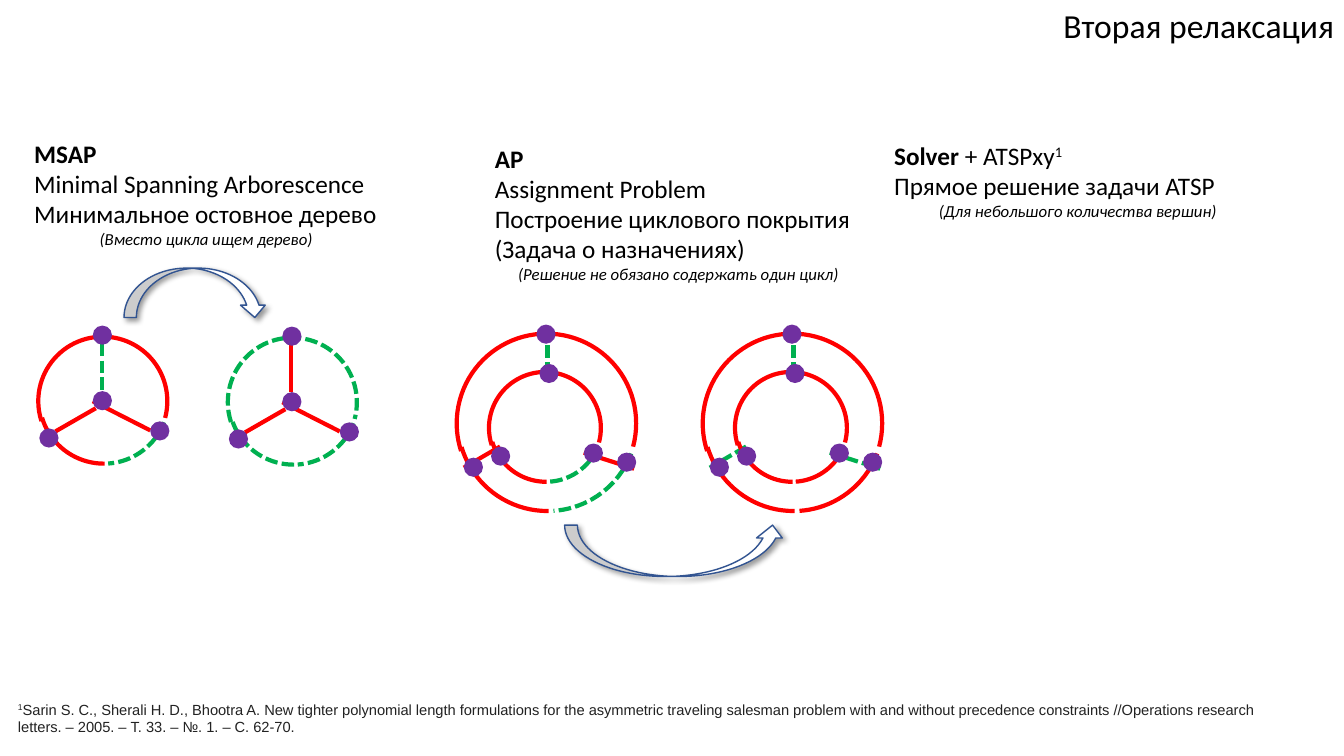
from dataclasses import dataclass
from typing import NamedTuple

from lxml.etree import SubElement
from pptx import Presentation
from pptx.dml.color import RGBColor
from pptx.enum.dml import MSO_LINE
from pptx.enum.shapes import MSO_CONNECTOR, MSO_SHAPE
from pptx.enum.text import MSO_AUTO_SIZE, PP_ALIGN
from pptx.oxml.ns import qn
from pptx.util import Inches, Pt


@dataclass(frozen=True)
class Theme:
    body: str = "Calibri"
    cite: str = "Arial"
    black: str = "000000"
    gray: str = "222222"
    white: str = "FFFFFF"
    red: str = "FF0000"
    green: str = "00B050"
    node: str = "7030A0"
    rim: str = "325491"
    title: float = 24
    text: float = 18
    note: float = 12
    foot: float = 10.5
    edge: float = 3
    thin: float = 1


THEME = Theme()


class Run(NamedTuple):
    text: str
    size: float = THEME.text
    bold: bool = False
    slant: bool = False
    raised: bool = False
    font: str = THEME.body
    color: str = THEME.black


class Line(NamedTuple):
    runs: list[Run]
    align: PP_ALIGN = PP_ALIGN.LEFT


class Box(NamedTuple):
    left: float
    top: float
    width: float
    height: float
    lines: list[Line]
    wrap: bool = True


class Ring(NamedTuple):
    left: float
    top: float
    size: float
    nodes: list[tuple[float, float]]


class Graph(NamedTuple):
    spokes: list[tuple[float, float, float, float]]
    rings: list[Ring]


class Figure(NamedTuple):
    graph: Graph
    right: float
    down: float
    spokes: str  # R = solid red, G = dashed green
    arcs: str


class Arrow(NamedTuple):
    left: float
    top: float
    width: float
    height: float
    flip: bool = False


def plain(text: str) -> Line:
    return Line([Run(text)])


def head(text: str) -> Line:
    return Line([Run(text, bold=True)])


def note(text: str) -> Line:
    return Line([Run(text, THEME.note, slant=True)], PP_ALIGN.CENTER)


# Text blocks
BOXES = [
    Box(10.42, 0, 2.91, 0.5,
        [Line([Run("Вторая релаксация", THEME.title)], PP_ALIGN.RIGHT)], False),
    Box(0.24, 1.32, 3.61, 1.21, [
        head("MSAP"),
        plain("Minimal Spanning Arborescence"),
        plain("Минимальное остовное дерево"),
        note("(Вместо цикла ищем дерево)")]),
    Box(4.81, 1.37, 3.84, 1.51, [
        head("AP"),
        plain("Assignment Problem"),
        plain("Построение циклового покрытия"),
        plain("(Задача о назначениях)"),
        note("(Решение не обязано содержать один цикл)")]),
    Box(8.77, 1.34, 3.84, 0.91, [
        Line([Run("Solver", bold=True), Run(" + ATSPxy"), Run("1", raised=True)]),
        plain("Прямое решение задачи ATSP"),
        note("(Для небольшого количества вершин)")]),
    Box(0.08, 6.9, 12.86, 0.45, [Line([
        Run("1", THEME.foot, raised=True, font=THEME.cite, color=THEME.gray),
        Run("Sarin S. C., Sherali H. D., Bhootra A. New tighter polynomial length "
            "formulations for the asymmetric traveling salesman problem with and "
            "without precedence constraints //Operations research letters. – 2005. "
            "– Т. 33. – №. 1. – С. 62-70.",
            THEME.foot, font=THEME.cite, color=THEME.gray)])]),
]

# Graph layouts and their colourings
TREE = Graph(
    [(0.95, 4.05, 0.55, 4.28), (0.92, 3.98, 1.49, 4.27), (1.01, 3.41, 1.01, 3.88)],
    [Ring(0.38, 3.32, 1.28, [(0.92, 3.23), (0.39, 4.25), (0.92, 3.88), (1.49, 4.18)])])
CYCLE = Graph(
    [(5.79, 4.49, 6.29, 4.65), (5.43, 3.26, 5.43, 3.73), (4.96, 4.43, 4.6, 4.64)],
    [Ring(4.53, 3.29, 1.78, [(4.6, 4.54), (5.32, 3.22), (6.12, 4.49)]),
     Ring(4.85, 3.67, 1.11, [(4.87, 4.43), (5.35, 3.61), (5.79, 4.4)])])
FIGURES = [
    Figure(TREE, 0, 0, "RRG", "RGR"),
    Figure(TREE, 1.88, 0.01, "RRR", "GGG"),
    Figure(CYCLE, 0, 0, "RGR", "RGR"),
    Figure(CYCLE, 2.44, 0, "GGG", "RRR"),
]
ARROWS = [Arrow(1.23, 2.66, 1.42, 0.49), Arrow(5.6, 5.21, 2.19, 0.51, True)]

# Each arc: shift right, shift down, start and end in degrees
ARCS = [(0, 0.02, 162, 15.06), (0.01, 0, 21.04, 86.16), (0.01, 0, 89.29, 163.3)]
DOT = 0.19


def write(slide, box: Box) -> None:
    shape = slide.shapes.add_textbox(*map(Inches, box[:4]))
    frame = shape.text_frame
    frame.word_wrap = box.wrap
    frame.auto_size = MSO_AUTO_SIZE.SHAPE_TO_FIT_TEXT
    for i, line in enumerate(box.lines):
        para = frame.add_paragraph() if i else frame.paragraphs[0]
        para.alignment = line.align
        for item in line.runs:
            run = para.add_run()
            run.text = item.text
            font = run.font
            font.name, font.size = item.font, Pt(item.size)
            font.bold, font.italic = item.bold, item.slant
            font.color.rgb = RGBColor.from_string(item.color)
            if item.raised:
                run._r.get_or_add_rPr().set("baseline", "30000")


def stroke(line, tone: str) -> None:
    line.width = Pt(THEME.edge)
    line.color.rgb = RGBColor.from_string(THEME.red if tone == "R" else THEME.green)
    if tone == "G":
        line.dash_style = MSO_LINE.SQUARE_DOT


def draw(slide, fig: Figure) -> None:
    group = slide.shapes.add_group_shape().shapes
    x, y = fig.right, fig.down
    for (x1, y1, x2, y2), tone in zip(fig.graph.spokes, fig.spokes):
        ends = map(Inches, (x1 + x, y1 + y, x2 + x, y2 + y))
        spoke = group.add_connector(MSO_CONNECTOR.STRAIGHT, *ends)
        stroke(spoke.line, tone)
        SubElement(spoke._element.spPr, qn("a:effectLst"))
    for ring in fig.graph.rings:
        for (dx, dy, start, end), tone in zip(ARCS, fig.arcs):
            place = (ring.left + x + dx, ring.top + y + dy, ring.size, ring.size)
            arc = group.add_shape(MSO_SHAPE.ARC, *map(Inches, place))
            # Angles are stored in 60000ths, adjustments in 100000ths
            arc.adjustments[0], arc.adjustments[1] = start * 0.6, end * 0.6
            arc.shadow.inherit = False
            arc.fill.background()
            stroke(arc.line, tone)
        for left, top in ring.nodes:
            place = (left + x, top + y, DOT, DOT)
            node = group.add_shape(MSO_SHAPE.OVAL, *map(Inches, place))
            node.shadow.inherit = False
            node.fill.solid()
            node.fill.fore_color.rgb = RGBColor.from_string(THEME.node)
            node.line.fill.background()


def bend(slide, arrow: Arrow) -> None:
    shape = slide.shapes.add_shape(MSO_SHAPE.CURVED_DOWN_ARROW, *map(Inches, arrow[:4]))
    shape.fill.solid()
    shape.fill.fore_color.rgb = RGBColor.from_string(THEME.white)
    shape.line.width = Pt(THEME.thin)
    shape.line.color.rgb = RGBColor.from_string(THEME.rim)
    shape.shadow.inherit = False
    props = shape._element.spPr
    if arrow.flip:
        props.find(qn("a:xfrm")).set("flipV", "1")
    # Soft shadow to the lower right
    cast = SubElement(props.find(qn("a:effectLst")), qn("a:outerShdw"),
                      blurRad=str(Pt(4)), dist=str(Pt(3)), dir="2700000",
                      algn="tl", rotWithShape="0")
    tint = SubElement(cast, qn("a:srgbClr"), val=THEME.black)
    SubElement(tint, qn("a:alpha"), val="40000")


def main() -> None:
    deck = Presentation()
    deck.slide_width, deck.slide_height = Inches(13.33), Inches(7.5)
    slide = deck.slides.add_slide(deck.slide_layouts[6])
    for box in BOXES:
        write(slide, box)
    for fig in FIGURES:
        draw(slide, fig)
    for arrow in ARROWS:
        bend(slide, arrow)
    deck.save("out.pptx")


if __name__ == "__main__":
    main()
